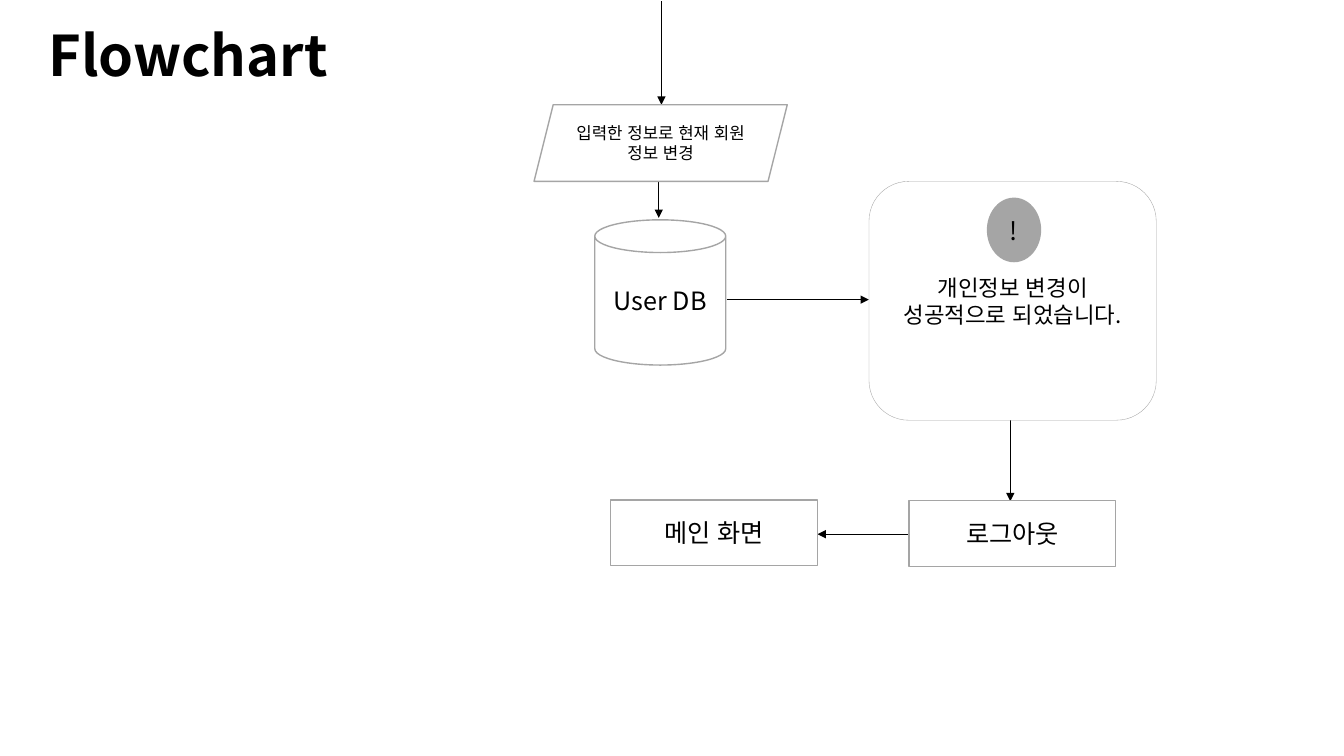
import pptx
import pptx.dml.color
import pptx.enum.lang
import pptx.enum.shapes
import pptx.enum.text
import pptx.oxml.ns
import pptx.util
from lxml import etree

Cm = pptx.util.Cm
Pt = pptx.util.Pt
RGB = pptx.dml.color.RGBColor
KIND = pptx.enum.shapes.MSO_SHAPE
ALIGN = pptx.enum.text.PP_ALIGN
ANCHOR = pptx.enum.text.MSO_ANCHOR
KOREAN = pptx.enum.lang.MSO_LANGUAGE_ID.KOREAN
qn = pptx.oxml.ns.qn

BLACK = RGB(0x00, 0x00, 0x00)
WHITE = RGB(0xFF, 0xFF, 0xFF)
GRAY = RGB(0xA5, 0xA5, 0xA5)
FACE = "Noto Sans CJK KR"


def apply(thing, values):
    for name, value in values.items():
        setattr(thing, name, value)


def write(shape, text, size, align=ALIGN.CENTER, bold=False):
    frame = shape.text_frame
    apply(frame, {"word_wrap": True, "vertical_anchor": ANCHOR.MIDDLE})
    para = frame.paragraphs[0]
    para.alignment = align
    run = para.add_run()
    run.text = text
    apply(run.font, {"name": FACE, "size": Pt(size), "bold": bold,
                     "language_id": KOREAN})
    run.font.color.rgb = BLACK
    # East Asian typeface for the Hangul
    etree.SubElement(run.font._element, qn("a:ea"), typeface=FACE)


def add_title(slide, text, box):
    title = slide.shapes.title
    apply(title, dict(zip(("left", "top", "width", "height"), map(Cm, box))))
    write(title, text, 40, ALIGN.LEFT, True)
    title.text_frame.paragraphs[0].line_spacing = 1.0


def add_node(shapes, kind, box, text, size, fill=WHITE, line=1):
    node = shapes.add_shape(kind, *map(Cm, box))
    node.shadow.inherit = False
    node.fill.solid()
    node.fill.fore_color.rgb = fill
    if line:
        node.line.color.rgb = GRAY
        node.line.width = Pt(line)
    else:
        node.line.fill.background()
    write(node, text, size)


def add_arrow(shapes, ends):
    arrow = shapes.add_connector(
        pptx.enum.shapes.MSO_CONNECTOR.STRAIGHT, *map(Cm, ends))
    arrow.line.color.rgb = BLACK
    arrow.line.width = Pt(0.5)
    etree.SubElement(arrow.line._get_or_add_ln(), qn("a:tailEnd"),
                     type="triangle")
    etree.SubElement(arrow._element.spPr, qn("a:effectLst"))


def main():
    deck = pptx.Presentation()
    apply(deck, {"slide_width": Cm(33.87), "slide_height": Cm(19.05)})
    slide = deck.slides.add_slide(deck.slide_layouts[5])
    shapes = slide.shapes
    add_title(slide, "Flowchart", (0.97, 0.38, 11.28, 1.96))

    # Arrows between the steps
    for ends in (
        (16.67, 0.03, 16.67, 2.64),
        (18.31, 7.55, 21.9, 7.55),
        (16.6, 4.52, 16.6, 5.49),
        (25.46, 10.59, 25.46, 12.63),
        (22.91, 13.46, 20.6, 13.46),
    ):
        add_arrow(shapes, ends)

    # Success message with its badge
    notice = shapes.add_group_shape().shapes
    add_node(notice, KIND.ROUNDED_RECTANGLE, (21.9, 4.57, 7.24, 6.02),
             "개인정보 변경이 성공적으로 되었습니다.", 16, line=0.25)
    add_node(notice, KIND.OVAL, (24.87, 4.98, 1.37, 1.63), "!", 18,
             fill=GRAY, line=0)

    # Steps of the flow
    for kind, box, text, size in (
        (KIND.PARALLELOGRAM, (13.46, 2.64, 6.38, 1.93),
         "입력한 정보로 현재 회원 정보 변경", 12),
        (KIND.CAN, (14.99, 5.54, 3.3, 3.66), "User DB", 18),
        (KIND.RECTANGLE, (22.91, 12.62, 5.21, 1.65), "로그아웃", 18),
        (KIND.RECTANGLE, (15.39, 12.6, 5.21, 1.65), "메인 화면", 18),
    ):
        add_node(shapes, kind, box, text, size)

    deck.save("out.pptx")


if __name__ == "__main__":
    main()
